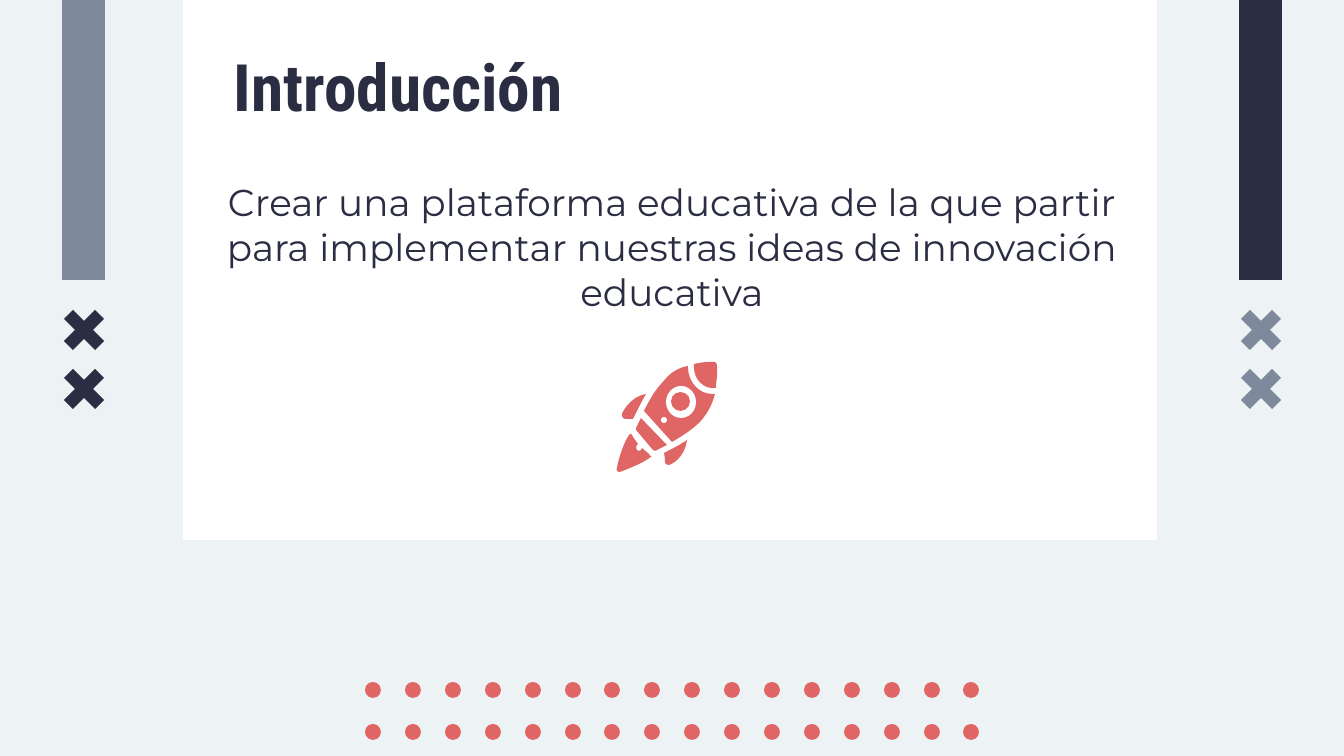
from pptx import Presentation
from pptx import util as u
from pptx.dml import color
from pptx.enum import shapes, text

SCALE = 914400 / 134.4  # EMU in one px
NAVY, GREY, RED = "2B2D42", "7E899C", "E06666"
WHITE, PALE = "FFFFFF", "EDF2F4"
KIND = shapes.MSO_SHAPE

# Outlines in px: a pair is a line end, six numbers are a cubic curve.
BAND = [(641, 418), (636, 428), (636, 429, 636, 430, 637, 431), (653, 450),
        (655, 451, 656, 451, 657, 450), (667, 445)]
NOSE = [(710, 362), (704, 362, 699, 363, 694, 364), (694, 367),
        (694, 379, 703, 388, 712, 388), (716, 388),
        (716, 382, 718, 374, 717, 366), (717, 364, 716, 362, 714, 362)]
BODY = [(688, 366), (677, 368, 669, 374, 663, 382),
        (655, 390, 649, 401, 644, 411), (672, 442),
        (681, 437, 692, 430, 700, 422), (707, 414, 712, 406, 715, 394),
        (712, 394), (699, 394, 688, 382, 688, 367)]
RIGHT_FIN = [(687, 440), (680, 445, 672, 449, 664, 453),
             (665, 458, 665, 462, 665, 462), (665, 464, 667, 465, 669, 465),
             (671, 465, 685, 458, 687, 440)]
LEFT_FIN = [(646, 394), (629, 397, 622, 414, 622, 414),
            (622, 417, 623, 419, 626, 419), (633, 419),
            (637, 411, 641, 403, 646, 394)]
FLAME = [(630, 434), (625, 439, 618, 460, 617, 468),
         (616, 470, 617, 472, 620, 472), (628, 469, 646, 462, 652, 456),
         (650, 456, 650, 456, 649, 454), (642, 448), (641, 450),
         (640, 451, 638, 451, 637, 450), (636, 449, 636, 446, 637, 445),
         (638, 444), (633, 437), (632, 435, 632, 434, 630, 434)]


def px(*sizes):
    return [u.Emu(round(size * SCALE)) for size in sizes]


def rgb(code):
    return color.RGBColor.from_string(code)


def paint(shape, fill):
    shape.shadow.inherit = False
    shape.fill.solid()
    shape.fill.fore_color.rgb = rgb(fill)
    shape.line.fill.background()
    return shape


def add_form(host, kind, box, fill):
    return paint(host.shapes.add_shape(kind, *px(*box)), fill)


def add_cross(slide, left, top, fill):
    cross = add_form(slide, KIND.CROSS, (left, top, 44, 44), fill)
    cross.adjustments[0] = 0.356
    cross.rotation = 45


def trace(steps, parts=8):
    """Turn line ends and curves into a list of points."""
    points = [steps[0]]
    for step in steps[1:]:
        if len(step) == 2:
            points.append(step)
            continue
        nodes = [points[-1], step[:2], step[2:4], step[4:]]
        for i in range(1, parts + 1):
            t = i / parts
            rates = [(1 - t)**3, 3 * t * (1 - t)**2, 3 * t * t * (1 - t), t**3]
            points.append(tuple(sum(r * n[axis] for r, n in zip(rates, nodes))
                                for axis in (0, 1)))
    return points


def add_outline(host, steps, fill):
    first, *rest = [px(*point) for point in trace(steps)]
    build = host.shapes.build_freeform(*first)
    build.add_line_segments(rest, close=True)
    paint(build.convert_to_shape(), fill)


def add_text(slide, words, box, *, font, size, bold=False):
    frame = slide.shapes.add_textbox(*px(*box)).text_frame
    frame.word_wrap = True
    frame.vertical_anchor = text.MSO_ANCHOR.MIDDLE
    frame.margin_left = frame.margin_right = u.Inches(0.1)
    frame.margin_top = frame.margin_bottom = u.Inches(0.1)
    line = frame.paragraphs[0]
    line.alignment = text.PP_ALIGN.CENTER
    run = line.add_run()
    run.text = words
    run.font.name, run.font.size, run.font.bold = font, u.Pt(size), bold
    run.font.color.rgb = rgb(NAVY)


def add_side(slide, left, bar, cross):
    add_form(slide, KIND.RECTANGLE, (left, 0, 43, 280), bar)
    for top in (308, 367):
        add_cross(slide, left, top, cross)


def add_dots(slide):
    group = slide.shapes.add_group_shape()
    for top in (682, 724):
        for i in range(16):
            add_form(group, KIND.OVAL, (365 + round(i * 39.9), top, 16, 16), RED)


def add_rocket(slide):
    group = slide.shapes.add_group_shape()
    for steps in (BAND, NOSE, BODY, RIGHT_FIN, LEFT_FIN, FLAME):
        add_outline(group, steps, RED)
    add_form(group, KIND.OVAL, (666, 386, 30, 32), WHITE)
    add_form(group, KIND.OVAL, (671, 392, 19, 19), RED)
    add_form(group, KIND.OVAL, (661, 417, 6, 6), WHITE)


def main():
    deck = Presentation()
    deck.slide_width, deck.slide_height = px(1344, 756)
    slide = deck.slides.add_slide(deck.slide_layouts[6])
    slide.background.fill.solid()
    slide.background.fill.fore_color.rgb = rgb(PALE)
    add_form(slide, KIND.RECTANGLE, (183, -42, 974, 582), WHITE)
    add_side(slide, 62, GREY, NAVY)
    add_side(slide, 1239, NAVY, GREY)
    add_dots(slide)
    add_text(slide, "Introducción", (181, 50, 435, 70),
             font="Roboto Condensed", size=35, bold=True)
    add_text(slide, "Crear una plataforma educativa de la que partir para "
             "implementar nuestras ideas de innovación educativa",
             (181, 145, 982, 203), font="Montserrat", size=20)
    add_rocket(slide)
    deck.save("out.pptx")


if __name__ == "__main__":
    main()
